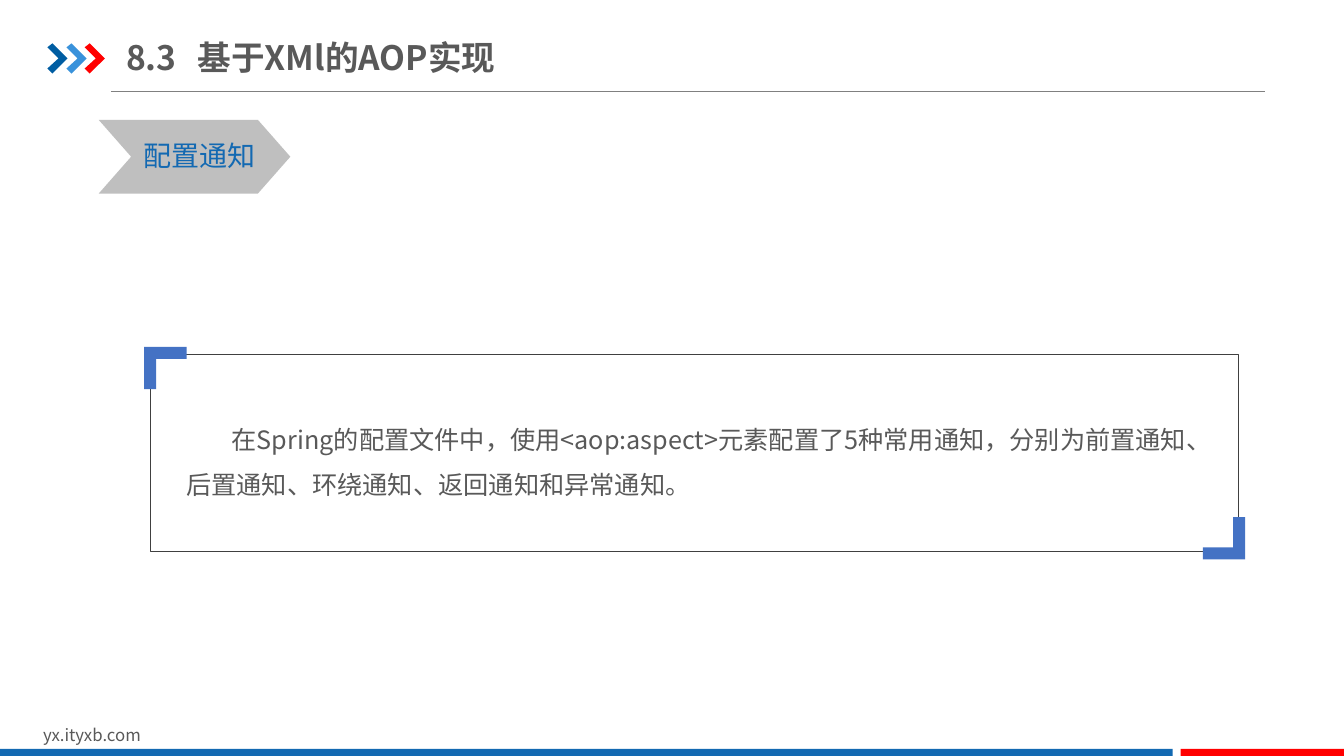
from lxml.etree import SubElement
from pptx import Presentation
from pptx.dml.color import RGBColor
from pptx.enum.shapes import MSO_CONNECTOR, MSO_SHAPE
from pptx.enum.text import MSO_ANCHOR, MSO_AUTO_SIZE, PP_ALIGN
from pptx.oxml.ns import qn
from pptx.util import Inches, Pt

FONT = "Noto Sans CJK SC"
GRAY, BLUE, RED, ACCENT = "595959", "1369B2", "FF0000", "4472C4"


def color(value):
    return RGBColor.from_string(value)


class SlideBuilder:
    def __init__(self, presentation):
        self.slide = presentation.slides.add_slide(presentation.slide_layouts[5])
        self.shapes = self.slide.shapes

    def paint(self, shape, fill=None, line=None, width=0.25):
        shape.shadow.inherit = False
        if fill:
            shape.fill.solid()
            shape.fill.fore_color.rgb = color(fill)
        else:
            shape.fill.background()
        if line:
            shape.line.color.rgb = color(line)
            shape.line.width = Pt(width)
        else:
            shape.line.fill.background()

    def preset(self, kind, box, fill=None, line=None):
        shape = self.shapes.add_shape(kind, *map(Inches, box))
        self.paint(shape, fill, line)
        return shape

    def polygon(self, points, fill):
        corners = [(Inches(x), Inches(y)) for x, y in points]
        builder = self.shapes.build_freeform(*corners[0])
        builder.add_line_segments(corners[1:], close=True)
        self.paint(builder.convert_to_shape(), fill)

    def rule(self, left, right, y, line):
        connector = self.shapes.add_connector(
            MSO_CONNECTOR.STRAIGHT, Inches(left), Inches(y), Inches(right), Inches(y))
        connector.line.color.rgb = color(line)
        connector.line.width = Pt(0.5)
        SubElement(connector._element.spPr, qn("a:effectLst"))

    def style(self, paragraph, size, font_color, bold=False):
        paragraph.alignment = PP_ALIGN.LEFT
        font = paragraph.font
        font.name, font.size, font.bold = FONT, Pt(size), bold
        font.color.rgb = color(font_color)
        SubElement(font._element, qn("a:ea"), typeface=FONT)

    def text(self, box, words, size, font_color, indent=0, spacing=None):
        frame = self.shapes.add_textbox(*map(Inches, box)).text_frame
        frame.word_wrap = True
        paragraph = frame.paragraphs[0]
        paragraph.text = words
        if indent:
            paragraph._p.get_or_add_pPr().set("indent", str(Inches(indent)))
        if spacing:
            paragraph.line_spacing = spacing
        self.style(paragraph, size, font_color)

    def title(self, box, words, tab):
        title = self.shapes.title
        title.left, title.top, title.width, title.height = map(Inches, box)
        frame = title.text_frame
        frame.auto_size = MSO_AUTO_SIZE.NONE
        frame.word_wrap = True
        frame.vertical_anchor = MSO_ANCHOR.MIDDLE
        frame.margin_left = frame.margin_right = 0
        frame.margin_top = frame.margin_bottom = Inches(0.07)
        paragraph = frame.paragraphs[0]
        paragraph.text = words
        tabs = SubElement(paragraph._p.get_or_add_pPr(), qn("a:tabLst"))
        SubElement(tabs, qn("a:tab"), pos=str(Inches(tab)), algn="l")
        self.style(paragraph, 24, GRAY, bold=True)

    def arrow_mark(self, left, fill):
        outline = [(0, 0.47), (0.05, 0.43), (0.2, 0.58),
                   (0.05, 0.73), (0, 0.68), (0.11, 0.58)]
        self.polygon([(left + x, y) for x, y in outline], fill)

    def corner(self, x, y, direction):
        size, thickness = 0.42, 0.12
        outline = [(0, 0), (size, 0), (size, thickness),
                   (thickness, thickness), (thickness, size), (0, size)]
        self.polygon([(x + direction * dx, y + direction * dy)
                      for dx, dy in outline], ACCENT)


def main():
    presentation = Presentation()
    presentation.slide_width = Inches(13.33)
    presentation.slide_height = Inches(7.5)
    builder = SlideBuilder(presentation)

    builder.rule(1.1, 12.55, 0.91, "808080")
    for left, fill in ((0.47, "005DA2"), (0.66, "3992DB"), (0.84, RED)):
        builder.arrow_mark(left, fill)
    builder.title((1.25, 0.29, 4.2, 0.55), "8.3\t基于XMl的AOP实现", tab=0.71)

    builder.text((0.33, 7.14, 3.18, 0.3), "yx.ityxb.com", 12, GRAY)
    for left, width, fill in ((0, 11.63, BLUE), (11.71, 1.62, RED)):
        builder.preset(MSO_SHAPE.RECTANGLE, (left, 7.43, width, 0.07), fill)

    chevron = builder.preset(MSO_SHAPE.CHEVRON, (0.98, 1.19, 1.9, 0.73), "BFBFBF")
    chevron.adjustments[0] = 0.44
    builder.text((1.32, 1.33, 1.41, 0.44), "配置通知", 20, BLUE)

    builder.text(
        (1.75, 4.01, 10.3, 1.06),
        "在Spring的配置文件中，使用<aop:aspect>元素配置了5种常用通知，"
        "分别为前置通知、后置通知、环绕通知、返回通知和异常通知。",
        18, GRAY, indent=0.45, spacing=1.5)
    builder.preset(MSO_SHAPE.RECTANGLE, (1.49, 3.51, 10.79, 1.96), line="404040")
    builder.corner(1.43, 3.44, 1)
    builder.corner(12.35, 5.55, -1)

    presentation.save("out.pptx")


if __name__ == "__main__":
    main()
